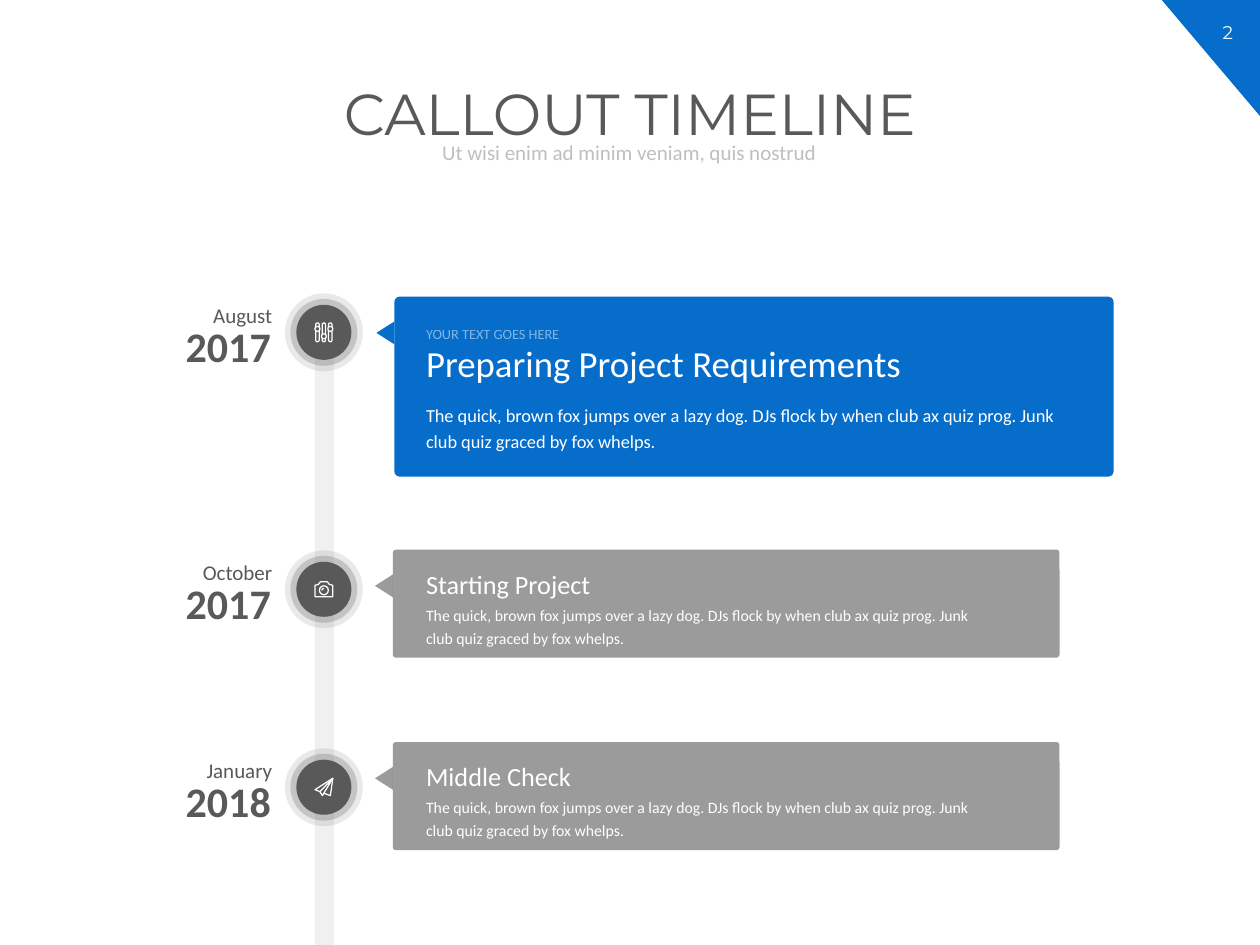
from lxml import etree
from pptx import Presentation
from pptx import util as u
from pptx.dml.color import RGBColor
from pptx.enum import shapes, text
from pptx.oxml.ns import qn

COLORS = {"blue": "066DCA", "dark": "595959", "pale": "BFBFBF", "white": "FFFFFF"}
SHAPE = shapes.MSO_SHAPE
ALIGN = text.PP_ALIGN
ANCHOR = text.MSO_ANCHOR
BODY = ("The quick, brown fox jumps over a lazy dog. DJs flock by when club ax "
        "quiz prog. Junk club quiz graced by fox whelps.")
AXIS_X = 6.53  # centre of the timeline rail, in cm
TEXT_X = 8.34  # left edge of the callout texts


def rgb(name):
    return RGBColor.from_string(COLORS[name])


def set_alpha(element, percent):
    color = element.find(".//" + qn("a:srgbClr"))
    etree.SubElement(color, qn("a:alpha")).set("val", str(percent * 1000))


def add_filled(parent, kind, left, top, width, height, color, alpha=100):
    shape = parent.add_shape(kind, u.Cm(left), u.Cm(top), u.Cm(width), u.Cm(height))
    shape.shadow.inherit = False
    shape.fill.solid()
    shape.fill.fore_color.rgb = rgb(color)
    shape.line.fill.background()
    if alpha < 100:
        set_alpha(shape._element, alpha)
    return shape


def add_centered(parent, kind, x, y, width, height, color, alpha=100):
    return add_filled(parent, kind, x - width / 2, y - height / 2,
                      width, height, color, alpha)


def set_stroke(shape):
    shape.line.color.rgb = rgb("white")
    shape.line.width = u.Pt(0.7)


def write(box, words, size, color, font="Calibri", align=ALIGN.LEFT, spacing=1.0,
          bold=False, alpha=100, anchor=ANCHOR.TOP):
    frame = box.text_frame
    frame.word_wrap = True
    frame.vertical_anchor = anchor
    para = frame.paragraphs[0]
    para.alignment = align
    para.line_spacing = spacing
    span = para.add_run()
    span.text = words
    span.font.name = font
    span.font.size = u.Pt(size)
    span.font.bold = bold
    span.font.color.rgb = rgb(color)
    if alpha < 100:
        set_alpha(span._r, alpha)


def add_text(parent, left, top, width, height, words, size, color, **style):
    box = parent.add_textbox(u.Cm(left), u.Cm(top), u.Cm(width), u.Cm(height))
    write(box, words, size, color, **style)


def add_outline(parent, x, y, points, close=True):
    """Draw a white outline through points given relative to (x, y)."""
    corners = [(u.Cm(x + dx), u.Cm(y + dy)) for dx, dy in points]
    builder = parent.build_freeform(*corners[0])
    builder.add_line_segments(corners[1:], close=close)
    shape = builder.convert_to_shape()
    shape.shadow.inherit = False
    shape.fill.background()
    set_stroke(shape)


# Icons
def draw_sliders(parent, x, y):
    for dx, dy in ((-0.13, -0.07), (0, 0.08), (0.13, -0.07)):
        track = add_centered(parent, SHAPE.ROUNDED_RECTANGLE, x + dx, y, 0.07, 0.38, "dark")
        track.adjustments[0] = 0.5
        knob = add_centered(parent, SHAPE.OVAL, x + dx, y + dy, 0.1, 0.1, "dark")
        set_stroke(track)
        set_stroke(knob)


def draw_camera(parent, x, y):
    half = [(-0.18, 0.15), (-0.18, -0.08), (-0.11, -0.1), (-0.07, -0.15)]
    add_outline(parent, x, y, half + [(-dx, dy) for dx, dy in reversed(half)])
    lens = add_centered(parent, SHAPE.OVAL, x, y + 0.02, 0.18, 0.18, "dark")
    glint = add_centered(parent, SHAPE.ARC, x, y + 0.02, 0.08, 0.08, "dark")
    glint.rotation = 270
    set_stroke(lens)
    set_stroke(glint)


def draw_plane(parent, x, y):
    tip, fold, notch = (0.18, -0.18), (-0.08, 0.09), (0, 0.12)
    add_outline(parent, x, y, [tip, (-0.18, 0.05), fold, (-0.03, 0.17), notch, (0.13, 0.17)])
    add_outline(parent, x, y, [fold, tip, notch], close=False)


# Timeline parts
def add_date(slide, y, month, year):
    group = slide.shapes.add_group_shape().shapes
    add_text(group, 2.41, y - 0.36, 3.3, 1.27, year, 24, "dark",
             align=ALIGN.RIGHT, bold=True)
    add_text(group, 2.72, y - 0.83, 3.02, 0.86, month, 12, "dark",
             align=ALIGN.RIGHT, spacing=1.2)


def add_marker(slide, y, draw_icon):
    group = slide.shapes.add_group_shape().shapes
    for diameter, alpha in ((1.57, 13), (1.35, 25), (1.11, 100)):
        add_centered(group, SHAPE.OVAL, AXIS_X, y, diameter, diameter, "dark", alpha)
    draw_icon(group, AXIS_X, y)


def add_callout(slide, left, top, width, height, color, alpha=100):
    group = slide.shapes.add_group_shape().shapes
    card = add_filled(group, SHAPE.ROUNDED_RECTANGLE, left, top, width, height, color, alpha)
    card.adjustments[0] = 0.03
    pointer = add_centered(group, SHAPE.ISOSCELES_TRIANGLE, left - 0.18, top + 0.73,
                           0.46, 0.36, color, alpha)
    pointer.rotation = 270


def add_main_callout(slide, top, heading):
    add_callout(slide, 7.95, top, 14.5, 3.63, "blue")
    add_text(slide.shapes, TEXT_X, top + 1.95, 13.72, 1.35, BODY, 10.5, "white", spacing=1.2)
    add_text(slide.shapes, TEXT_X, top + 0.76, 13.36, 1.14, heading, 21, "white")
    add_text(slide.shapes, TEXT_X, top + 0.39, 13.72, 0.69, "YOUR TEXT GOES HERE", 8.2,
             "white", spacing=1.2, alpha=50)


def add_minor_callout(slide, top, heading):
    add_callout(slide, 7.92, top, 13.44, 2.18, "dark", 60)
    add_text(slide.shapes, TEXT_X, top + 0.93, 11.73, 1.17, BODY, 9, "white", spacing=1.2)
    add_text(slide.shapes, TEXT_X, top + 0.25, 13.36, 0.89, heading, 15, "white")


def add_header(slide):
    corner = add_filled(slide.shapes, SHAPE.RIGHT_TRIANGLE, 23.42, 0, 1.98, 2.34, "blue")
    corner.rotation = 180
    add_text(slide.shapes, 24.1, 0.3, 1.3, 0.71, "2", 10.5, "white",
             font="Montserrat", align=ALIGN.CENTER)
    title = slide.shapes.title
    title.left, title.top = u.Cm(1.45), u.Cm(1.6)
    title.width, title.height = u.Cm(22.5), u.Cm(1.85)
    write(title, "CALLOUT TIMELINE", 33, "dark", font="Montserrat",
          align=ALIGN.CENTER, spacing=0.9)
    add_text(slide.shapes, 3.53, 2.77, 18.31, 0.66,
             "Ut wisi enim ad minim veniam, quis nostrud", 12, "pale",
             align=ALIGN.CENTER, spacing=0.9, anchor=ANCHOR.MIDDLE)


def main():
    deck = Presentation()
    deck.slide_width, deck.slide_height = u.Cm(25.4), u.Cm(19.05)
    page = deck.slides.add_slide(deck.slide_layouts[5])
    add_header(page)

    # Rail, then one date, callout and marker per milestone
    add_filled(page.shapes, SHAPE.RECTANGLE, 6.35, 6.4, 0.38, 12.65, "dark", 9)
    milestones = [
        (6.7, "August", "2017", draw_sliders, add_main_callout, 5.98,
         "Preparing Project Requirements"),
        (11.88, "October", "2017", draw_camera, add_minor_callout, 11.08, "Starting Project"),
        (15.87, "January", "2018", draw_plane, add_minor_callout, 14.96, "Middle Check"),
    ]
    for y, month, year, draw_icon, add_card, top, heading in milestones:
        add_date(page, y, month, year)
        add_card(page, top, heading)
        add_marker(page, y, draw_icon)
    deck.save("out.pptx")


if __name__ == "__main__":
    main()
